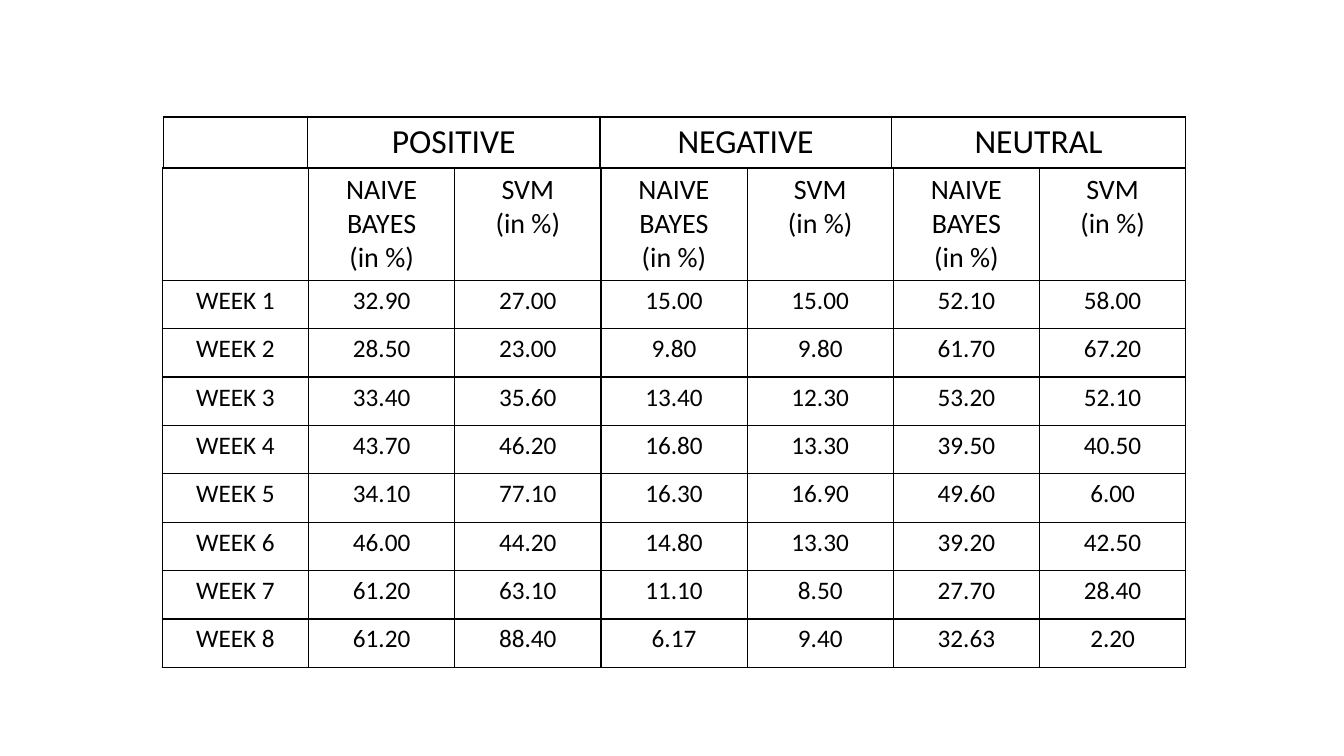
from lxml import etree
from pptx import Presentation
from pptx.dml.color import RGBColor
from pptx.enum.text import PP_ALIGN
from pptx.oxml.ns import qn
from pptx.util import Pt

CENTER = PP_ALIGN.CENTER
EMU_PER_PX = 9144  # 100 px to the inch
COLORS = {"ink": "000000"}
BORDER_SIDES = ("a:lnL", "a:lnR", "a:lnT", "a:lnB")

SENTIMENTS = ["", "POSITIVE", "NEGATIVE", "NEUTRAL"]
METHODS = [""] + ["NAIVE BAYES\n(in %)", "SVM\n(in %)"] * 3
WEEKLY_SHARES = [
    ["32.90", "27.00", "15.00", "15.00", "52.10", "58.00"],
    ["28.50", "23.00", "9.80", "9.80", "61.70", "67.20"],
    ["33.40", "35.60", "13.40", "12.30", "53.20", "52.10"],
    ["43.70", "46.20", "16.80", "13.30", "39.50", "40.50"],
    ["34.10", "77.10", "16.30", "16.90", "49.60", "6.00"],
    ["46.00", "44.20", "14.80", "13.30", "39.20", "42.50"],
    ["61.20", "63.10", "11.10", "8.50", "27.70", "28.40"],
    ["61.20", "88.40", "6.17", "9.40", "32.63", "2.20"],
]


def px(length):
    return length * EMU_PER_PX


class SlideBuilder:
    def __init__(self, slide, font="Calibri", border_pt=1):
        self.slide = slide
        self.font = font
        self.border_pt = border_pt

    def table(self, left, top, widths, heights, rows, sizes):
        """Draw a ruled table; sizes gives the text size of each row."""
        table = self.slide.shapes.add_table(
            len(rows), len(widths), px(left), px(top),
            px(sum(widths)), px(sum(heights))).table
        table.first_row = False
        table.horz_banding = False
        for column, width in zip(table.columns, widths):
            column.width = px(width)
        for row, height, texts, size in zip(table.rows, heights, rows, sizes):
            row.height = px(height)
            for cell, text in zip(row.cells, texts):
                self.fill_cell(cell, text, size)

    def fill_cell(self, cell, text, size):
        cell.text = text
        for paragraph in cell.text_frame.paragraphs:
            paragraph.alignment = CENTER
            paragraph.font.name = self.font
            paragraph.font.size = Pt(size)
            paragraph.font.color.rgb = RGBColor.from_string(COLORS["ink"])
        self.rule_cell(cell)
        cell.fill.background()

    def rule_cell(self, cell):
        properties = cell._tc.get_or_add_tcPr()
        for side in BORDER_SIDES:
            line = etree.SubElement(properties, qn(side), w=str(Pt(self.border_pt)))
            solid = etree.SubElement(line, qn("a:solidFill"))
            etree.SubElement(solid, qn("a:srgbClr"), val=COLORS["ink"])


def main():
    presentation = Presentation()
    presentation.slide_width = px(1333)
    presentation.slide_height = px(750)
    blank_layout = presentation.slide_layouts[6]
    builder = SlideBuilder(presentation.slides.add_slide(blank_layout))

    weeks = [[f"WEEK {number}"] + shares
             for number, shares in enumerate(WEEKLY_SHARES, 1)]
    builder.table(161, 166, [145] * len(METHODS), [111] + [48] * len(weeks),
                  [METHODS] + weeks, [20] + [18] * len(weeks))
    builder.table(162, 116, [143, 290, 289, 292], [50], [SENTIMENTS], [24])

    presentation.save("out.pptx")


if __name__ == "__main__":
    main()
